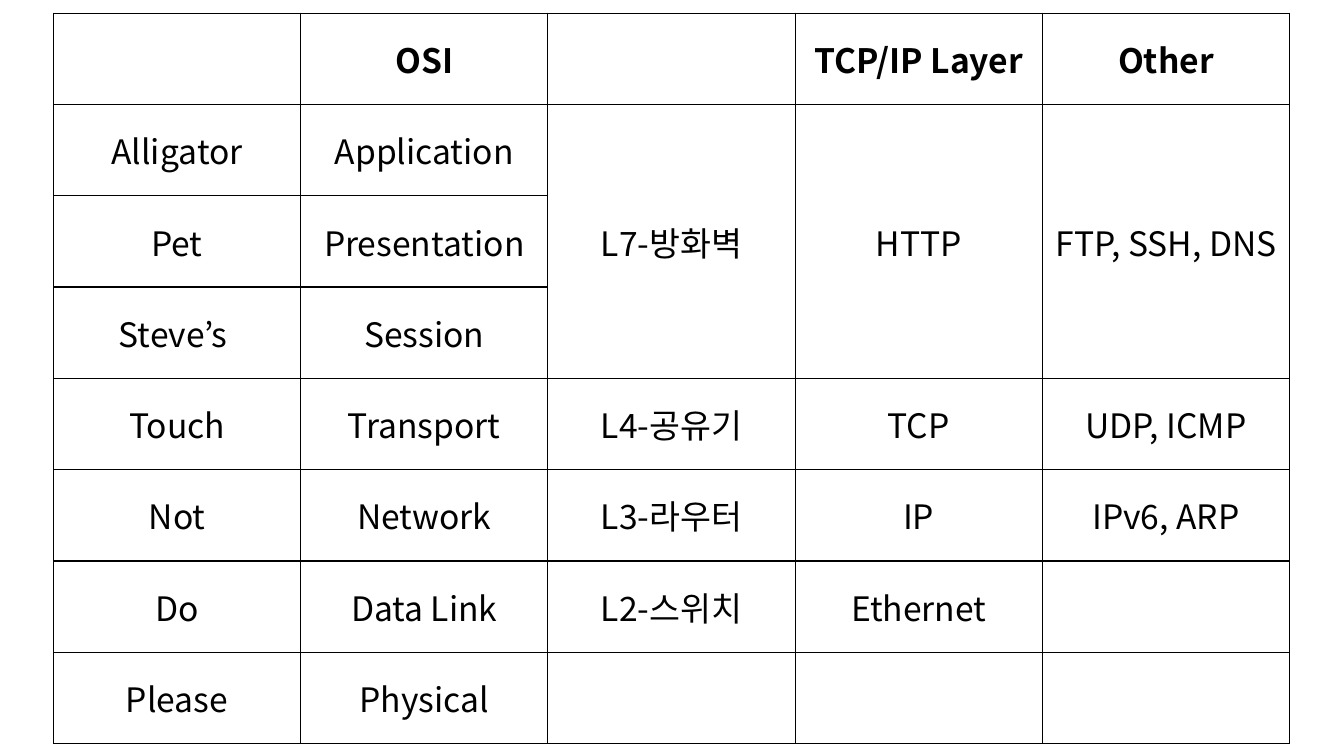
import pptx
import pptx.dml.color
import pptx.enum.text
import pptx.oxml
import pptx.oxml.ns
import pptx.util

FONT = "Noto Sans CJK KR"
INK = "000000"
PAPER = "FFFFFF"
LAYERS = [
    ["", "OSI", "", "TCP/IP Layer", "Other"],
    ["Alligator", "Application", "L7-방화벽", "HTTP", "FTP, SSH, DNS"],
    ["Pet", "Presentation", "", "", ""],
    ["Steve’s ", "Session", "", "", ""],
    ["Touch", "Transport", "L4-공유기", "TCP", "UDP, ICMP"],
    ["Not", "Network", "L3-라우터", "IP", "IPv6, ARP"],
    ["Do", "Data Link", "L2-스위치", "Ethernet", ""],
    ["Please", "Physical", "", "", ""],
]
MERGED_COLUMNS = (2, 3, 4)
MERGED_ROWS = (1, 3)


def color(value):
    """Turn a hex string into a colour."""
    return pptx.dml.color.RGBColor.from_string(value)


def write(frame, text, size=24, bold=False, ink=INK, font=FONT):
    """Write one centred line of text in a frame."""
    para = frame.paragraphs[0]
    para.alignment = pptx.enum.text.PP_ALIGN.CENTER
    span = para.add_run()
    span.text = text
    span.font.size = pptx.util.Pt(size)
    span.font.bold = bold
    span.font.name = font
    span.font.color.rgb = color(ink)
    east_asian = pptx.oxml.parse_xml(
        f'<a:ea {pptx.oxml.ns.nsdecls("a")} typeface="{font}"/>'
    )
    span.font._element.append(east_asian)


def add_borders(cell, ink=INK, width=1):
    """Draw a solid line on all four sides of a cell."""
    properties = cell._tc.get_or_add_tcPr()
    for position, side in enumerate(("lnL", "lnR", "lnT", "lnB")):
        line = pptx.oxml.parse_xml(
            f'<a:{side} {pptx.oxml.ns.nsdecls("a")} w="{pptx.util.Pt(width)}">'
            f'<a:solidFill><a:srgbClr val="{ink}"/></a:solidFill></a:{side}>'
        )
        properties.insert(position, line)


def add_layer_table(page, left, top, width, height):
    """Place the network layer table in the given box."""
    row_count, column_count = len(LAYERS), len(LAYERS[0])
    table = page.shapes.add_table(
        row_count, column_count, left, top, width, height
    ).table
    table.first_row = False
    table.horz_banding = False
    for column in table.columns:
        column.width = int(width / column_count)
    for row in table.rows:
        row.height = int(height / row_count)

    first, last = MERGED_ROWS
    for column in MERGED_COLUMNS:
        table.cell(first, column).merge(table.cell(last, column))

    for row, texts in enumerate(LAYERS):
        for column, text in enumerate(texts):
            cell = table.cell(row, column)
            if cell.is_spanned:
                continue
            cell.fill.solid()
            cell.fill.fore_color.rgb = color(PAPER)
            cell.vertical_anchor = pptx.enum.text.MSO_ANCHOR.MIDDLE
            add_borders(cell)
            if text:
                write(cell.text_frame, text, bold=row == 0)


def main():
    """Build the deck and save it."""
    inches = pptx.util.Inches
    deck = pptx.Presentation()
    deck.slide_width = inches(13.33)
    deck.slide_height = inches(7.5)
    page = deck.slides.add_slide(deck.slide_layouts[6])
    add_layer_table(page, inches(0.53), inches(0.13), inches(12.26), inches(7.25))
    deck.save("out.pptx")


if __name__ == "__main__":
    main()
